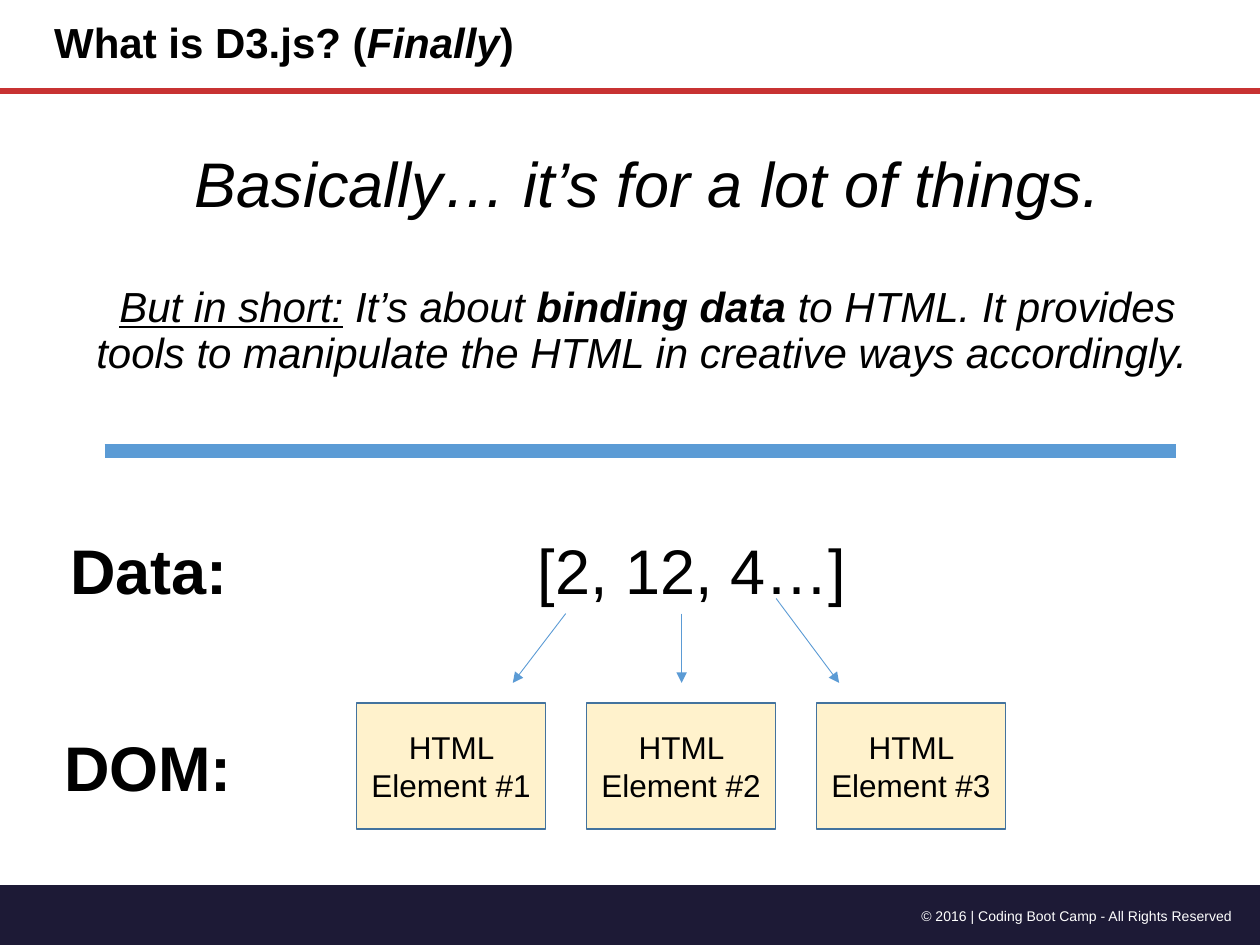
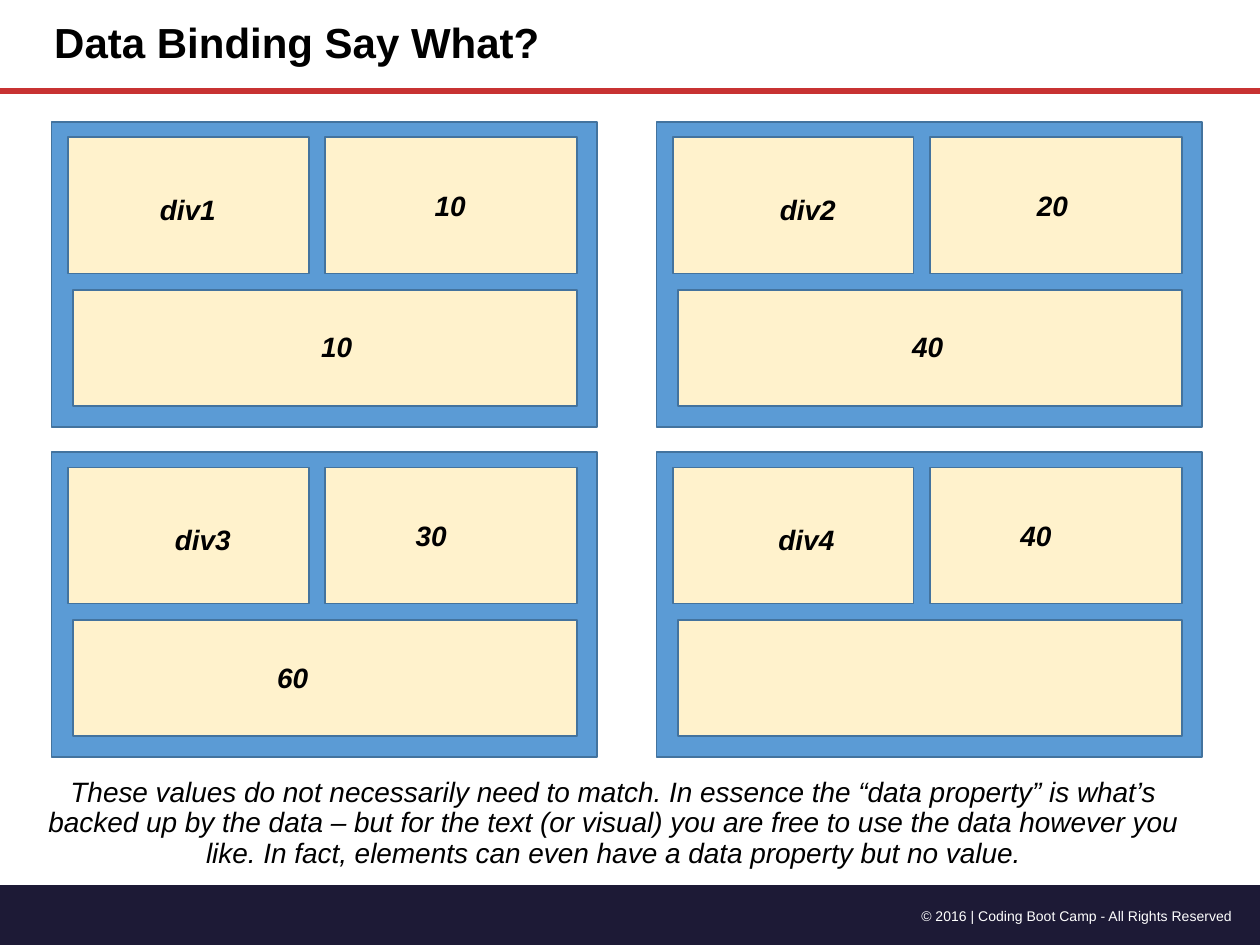
from dataclasses import dataclass

from lxml import etree
from pptx import Presentation
from pptx.dml.color import RGBColor
from pptx.enum.shapes import MSO_CONNECTOR, MSO_SHAPE
from pptx.enum.text import MSO_ANCHOR, MSO_AUTO_SIZE, PP_ALIGN
from pptx.oxml.ns import qn
from pptx.util import Inches, Pt

LEFT, CENTER, RIGHT = PP_ALIGN.LEFT, PP_ALIGN.CENTER, PP_ALIGN.RIGHT
MIDDLE = MSO_ANCHOR.MIDDLE
FIT_SHAPE, NO_FIT = MSO_AUTO_SIZE.SHAPE_TO_FIT_TEXT, MSO_AUTO_SIZE.NONE
RECTANGLE, PROCESS = MSO_SHAPE.RECTANGLE, MSO_SHAPE.FLOWCHART_PROCESS
STRAIGHT = MSO_CONNECTOR.STRAIGHT
TITLE_ONLY = 5


@dataclass(frozen=True)
class Theme:
    """Colours, type sizes and font shared by the slides."""
    font: str = "Arial"
    black: str = "000000"
    white: str = "FFFFFF"
    navy: str = "1D1A36"
    red: str = "C83232"
    blue: str = "5B9BD5"
    outline: str = "43739E"
    cream: str = "FFF2CC"
    display: int = 36
    title: int = 24
    box: int = 18
    label: int = 16
    footer: int = 8


THEME = Theme()


def color(value):
    """Turn a hex string into a colour."""
    return RGBColor.from_string(value)


def inches(*values):
    """Convert several numbers to lengths."""
    return [Inches(value) for value in values]


def add_run(paragraph, text, size, ink=THEME.black, bold=False, italic=False, underline=False):
    """Append one formatted run."""
    run = paragraph.add_run()
    run.text = text
    font = run.font
    font.name, font.size, font.color.rgb = THEME.font, Pt(size), color(ink)
    font.bold, font.italic, font.underline = bold, italic, underline


def add_label(slide, left, top, width, height, text, size, **style):
    """Add a one-line label that does not wrap."""
    frame = slide.shapes.add_textbox(*inches(left, top, width, height)).text_frame
    frame.word_wrap = False
    frame.auto_size = FIT_SHAPE
    add_run(frame.paragraphs[0], text, size, **style)


def add_prose(slide, box, paragraphs, gap=0):
    """Add centred, indented paragraphs, each a list of (text, size, style) runs."""
    frame = slide.shapes.add_textbox(*inches(*box)).text_frame
    frame.word_wrap = True
    frame.auto_size = NO_FIT
    for index, runs in enumerate(paragraphs):
        paragraph = frame.add_paragraph() if index else frame.paragraphs[0]
        paragraph.alignment = CENTER
        paragraph.line_spacing = 0.9
        paragraph.space_before = Pt(gap if index else 0)
        properties = paragraph._p.get_or_add_pPr()
        properties.set("marL", str(Inches(0.25)))
        properties.set("indent", "0")
        for text, size, style in runs:
            add_run(paragraph, text, size, italic=True, **style)


def add_box(slide, left, top, width, height, fill, text="", outline=THEME.outline, kind=RECTANGLE):
    """Add a filled box with an optional outline and centred text."""
    shape = slide.shapes.add_shape(kind, *inches(left, top, width, height))
    shape.shadow.inherit = False
    shape.fill.solid()
    shape.fill.fore_color.rgb = color(fill)
    if outline:
        shape.line.color.rgb = color(outline)
        shape.line.width = Pt(1)
    else:
        shape.line.fill.background()
    if text:
        frame = shape.text_frame
        frame.word_wrap = True
        frame.vertical_anchor = MIDDLE
        frame.paragraphs[0].alignment = CENTER
        add_run(frame.paragraphs[0], text, THEME.box)


def add_line(slide, start, end, ink, width, arrow=False):
    """Add a straight line, optionally with an arrowhead at its end."""
    connector = slide.shapes.add_connector(STRAIGHT, *inches(*start, *end))
    connector.line.color.rgb = color(ink)
    connector.line.width = Pt(width)
    if arrow:
        etree.SubElement(connector.line._get_or_add_ln(), qn("a:tailEnd"), type="triangle")
    etree.SubElement(connector._element.spPr, qn("a:effectLst"))


def add_footer(slide, left, top, width, height):
    """Draw the footer band with the copyright line."""
    add_box(slide, left, top, width, height, THEME.navy, outline=None, kind=PROCESS)
    frame = slide.shapes.add_textbox(*inches(left + 6.83, top + 0.13, 3.05, 0.24)).text_frame
    frame.word_wrap = True
    frame.auto_size = FIT_SHAPE
    frame.paragraphs[0].alignment = RIGHT
    add_run(frame.paragraphs[0], "© 2016 | Coding Boot Camp - All Rights Reserved",
            THEME.footer, ink=THEME.white)


def add_titled_slide(presentation, title_runs):
    """Add a slide with its title, title rule and footer."""
    slide = presentation.slides.add_slide(presentation.slide_layouts[TITLE_ONLY])
    title = slide.shapes.title
    title.left, title.top, title.width, title.height = inches(0.33, 0, 5.98, 0.72)
    frame = title.text_frame
    frame.auto_size = NO_FIT
    frame.vertical_anchor = MIDDLE
    paragraph = frame.paragraphs[0]
    paragraph.alignment = LEFT
    paragraph.line_spacing = 0.9
    for text, italic in title_runs:
        add_run(paragraph, text, THEME.title, bold=True, italic=italic)
    add_footer(slide, 0, 7.02, 10, 0.48)
    add_line(slide, (0, 0.72), (10, 0.72), THEME.red, 3.25)
    return slide


def add_binding_diagram(slide, left, top):
    """Draw the data array, the DOM elements and the arrows between them."""
    add_label(slide, left + 0.05, top, 1.46, 0.71, "Data:", THEME.display, bold=True)
    add_label(slide, left, top + 1.56, 1.55, 0.71, "DOM:", THEME.display, bold=True)
    add_label(slide, left + 3.76, top, 2.67, 0.71, "[2, 12, 4…]", THEME.display)
    for index in range(3):
        add_box(slide, left + 2.42 + index * 1.825, top + 1.41, 1.5, 1,
                THEME.cream, f"HTML Element #{index + 1}")
    for start_x, start_y, end_x in ((4.08, 0.7, 3.66), (5, 0.7, 5), (5.75, 0.58, 6.25)):
        add_line(slide, (left + start_x, top + start_y), (left + end_x, top + 1.25),
                 THEME.blue, 0.5, arrow=True)


def add_element_card(slide, left, top, labels):
    """Draw one element card; labels hold (text, x, y, width) within the card."""
    add_box(slide, left, top, 4.33, 2.42, THEME.blue)
    for x, y, width, height in ((0.17, 1.33, 4, 0.92), (0.13, 0.12, 1.91, 1.08),
                                (2.17, 0.12, 2, 1.08)):
        add_box(slide, left + x, top + y, width, height, THEME.cream)
    for text, x, y, width in labels:
        add_label(slide, left + x, top + y, width, 0.37, text, THEME.label,
                  bold=True, italic=True)


def build_definition_slide(presentation):
    """Build the slide that says what D3.js is."""
    slide = add_titled_slide(presentation, [("What is D3.js? (", False), ("Finally", True),
                                            (")", False)])
    add_prose(slide, (0.33, 1.17, 9.37, 2), [
        [("Basically… it’s for a lot of things.", THEME.display, {})],
        [("But in short:", THEME.title, {"underline": True}),
         (" It’s about ", THEME.title, {}),
         ("binding data ", THEME.title, {"bold": True}),
         ("to HTML. It provides tools to manipulate the HTML in creative ways accordingly. ",
          THEME.title, {})],
    ], gap=37)
    add_line(slide, (0.83, 3.58), (9.33, 3.58), THEME.blue, 8)
    add_binding_diagram(slide, 0.41, 4.17)


def build_binding_slide(presentation):
    """Build the slide that compares data values with shown text."""
    slide = add_titled_slide(presentation, [("Data Binding Say What?", False)])
    add_prose(slide, (-0.17, 6.13, 9.83, 0.96), [[(
        "These values do not necessarily need to match. In essence the “data property” is "
        "what’s backed up by the data – but for the text (or visual) you are free to use the "
        "data however you like. In fact, elements can even have a data property but no value.",
        THEME.label, {})]])
    cards = (
        (("div1", 0.76), ("10", 2.94), ("10", 2.04)),
        (("div2", 0.88), ("20", 2.92), ("40", 1.93)),
        (("div3", 0.88), ("30", 2.79), ("60", 1.69)),
        (("div4", 0.87), ("40", 2.79)),
    )
    rows = ((0.51, 0.65), (0.48, 0.45), (1.6, 0.45))
    for index, card in enumerate(cards):
        row, column = divmod(index, 2)
        labels = [(text, x, y, width) for (text, x), (y, width) in zip(card, rows)]
        add_element_card(slide, 0.41 + column * 4.8, 0.97 + row * 2.62, labels)


def main():
    """Build and save the presentation."""
    presentation = Presentation()
    presentation.slide_width, presentation.slide_height = inches(10, 7.5)
    build_definition_slide(presentation)
    build_binding_slide(presentation)
    presentation.save("out.pptx")


if __name__ == "__main__":
    main()
